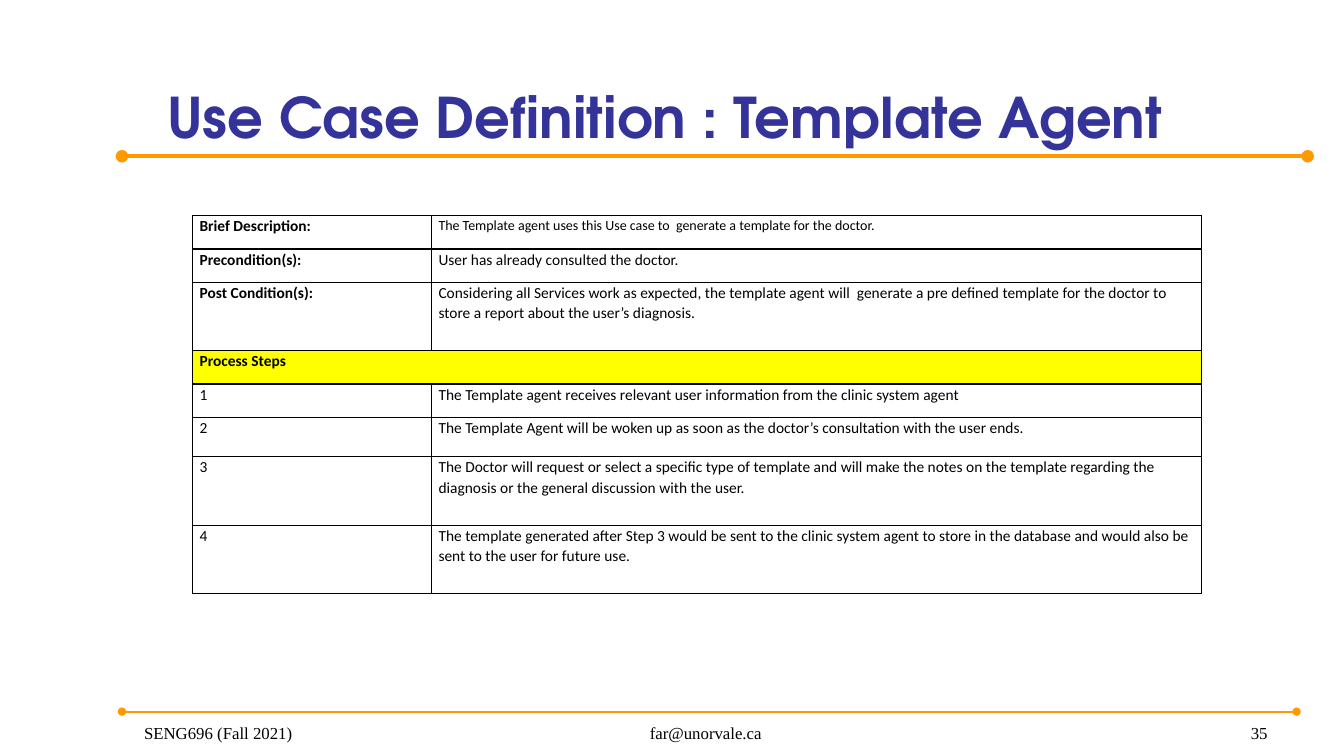
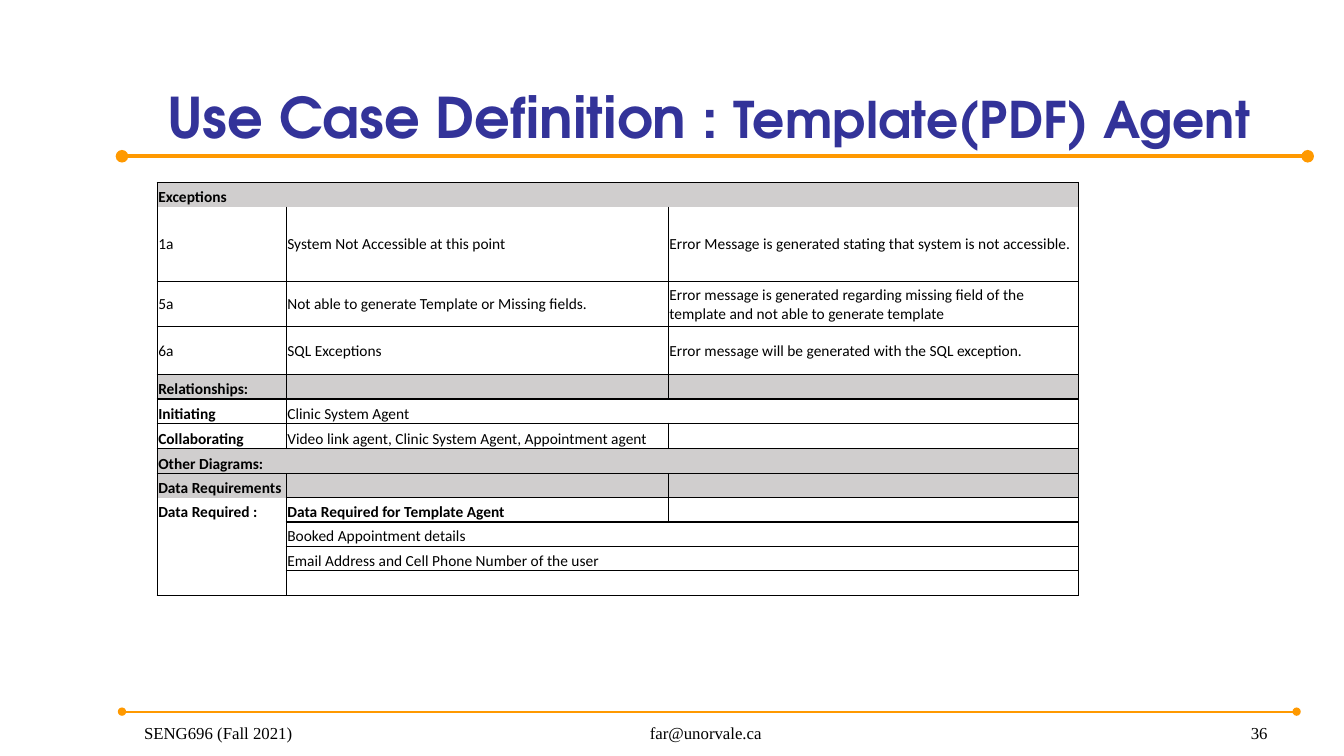
"""Build two use case definition slides with a shared title and footer frame."""
from lxml.etree import SubElement
from pptx import Presentation
from pptx.dml.color import RGBColor
from pptx.enum.shapes import MSO_CONNECTOR
from pptx.enum.text import MSO_ANCHOR, PP_ALIGN
from pptx.oxml.ns import qn
from pptx.util import Inches, Pt

ORANGE, NAVY, BLACK, YELLOW, GREY = "FF9900", "333399", "000000", "FFFF00", "D0CECE"
TITLE_FONT, BODY_FONT, FOOTER_FONT = "TeX Gyre Adventor", "Calibri", "Times New Roman"
RULES = [(1.21, 12.97, 1.55, 3), (1.21, 12.86, 7.06, 1.5)]
FOOTERS = [
    (4.89, 4.22, "far@unorvale.ca", PP_ALIGN.CENTER),
    (9.89, 2.78, "{number}", PP_ALIGN.RIGHT),
    (1.33, 2.78, "SENG696 (Fall 2021)", PP_ALIGN.LEFT),
]

# Cells that start with * are bold; joins are neighbouring cells with no line between.
SLIDES = [
    {
        "number": 35,
        "title": [("Use Case Definition : Template Agent", 40)],
        "at": (1.91, 2.14),
        "cols": [2.37, 7.64],
        "rows": [0.33, 0.33, 0.68, 0.33, 0.33, 0.39, 0.68, 0.68],
        "cells": [
            ("*Brief Description:", "The Template agent uses this Use case to  generate a template for the doctor."),
            ("*Precondition(s):", "User has already consulted the doctor."),
            ("*Post Condition(s):", "Considering all Services work as expected, the template agent will  generate "
             "a pre defined template for the doctor to store a report about the user’s diagnosis."),
            ("*Process Steps", ""),
            ("1", "The Template agent receives relevant user information from the clinic system agent"),
            ("2", "The Template Agent will be woken up as soon as the doctor’s consultation with the user ends."),
            ("3", "The Doctor will request or select a specific type of template and will make the notes "
             "on the template regarding the diagnosis or the general discussion with the user."),
            ("4", "The template generated after Step 3 would be sent to the clinic system agent to store "
             "in the database and would also be sent to the user for future use."),
        ],
        "fills": {3: YELLOW},
        "joins": [((3, 0), (3, 1))],
        "spans": [],
        "sizes": {(0, 1): 10},
        "margins": (0.07, 0),
        "spacing": (1.07, 8),
        "anchor": MSO_ANCHOR.TOP,
        "middle": (),
    },
    {
        "number": 36,
        "title": [("Use Case Definition : ", 40), ("Template(PDF) Agent", 36)],
        "at": (1.56, 1.81),
        "cols": [1.28, 3.79, 4.07],
        "rows": [0.24, 0.74, 0.45, 0.48, 0.24, 0.24, 0.25, 0.25, 0.24, 0.24, 0.24, 0.24, 0.25],
        "cells": [
            ("*Exceptions", "", ""),
            ("1a", "System Not Accessible at this point",
             "Error Message is generated stating that system is not accessible."),
            ("5a", "Not able to generate Template or Missing fields.",
             "Error message is generated regarding missing field of the template and not able to generate template"),
            ("6a", "SQL Exceptions", "Error message will be generated with the SQL exception."),
            ("*Relationships:", "", ""),
            ("*Initiating", "Clinic System Agent", ""),
            ("*Collaborating", "Video link agent, Clinic System Agent, Appointment agent", ""),
            ("*Other Diagrams:", "", ""),
            ("*Data Requirements", "", ""),
            ("*Data Required :", "*Data Required for Template Agent", ""),
            ("", "Booked Appointment details", ""),
            ("", "Email Address and Cell Phone Number of the user", ""),
            ("", "", ""),
        ],
        "fills": {row: GREY for row in (0, 4, 7, 8)},
        "joins": [((0, c), (0, c + 1)) for c in range(2)]
        + [((0, c), (1, c)) for c in range(3)]
        + [((r, 0), (r + 1, 0)) for r in range(8, 12)],
        "spans": [(5, 1), (7, 0), (10, 1), (11, 1), (12, 1)],
        "sizes": {},
        "margins": (0.01, 0.01),
        "spacing": (1, 0),
        "anchor": MSO_ANCHOR.BOTTOM,
        "middle": (1, 2, 3),
    },
]


def rgb(color):
    return RGBColor.from_string(color)


def set_font(font, name, size, color, bold=False):
    font.name, font.size, font.bold = name, Pt(size), bold
    font.color.rgb = rgb(color)


def add_rule(slide, left, right, y, width):
    line = slide.shapes.add_connector(MSO_CONNECTOR.STRAIGHT, Inches(left), Inches(y), Inches(right), Inches(y))
    line.line.color.rgb, line.line.width = rgb(ORANGE), Pt(width)
    ln = line.line._get_or_add_ln()
    for end in ("a:headEnd", "a:tailEnd"):
        SubElement(ln, qn(end), type="oval")
    SubElement(line._element.spPr, qn("a:effectLst"))


def add_text(slide, at, runs, font, color, bold=False, align=PP_ALIGN.LEFT):
    tf = slide.shapes.add_textbox(*map(Inches, at)).text_frame
    tf.word_wrap, tf.vertical_anchor = True, MSO_ANCHOR.BOTTOM
    p = tf.paragraphs[0]
    p.alignment = align
    set_font(p.font, font, runs[0][1], color, bold)
    for text, size in runs:
        r = p.add_run()
        r.text, r.font.size = text, Pt(size)


def set_borders(cell, open_sides):
    tc_pr = cell._tc.get_or_add_tcPr()
    for side in "LRTB":
        ln = SubElement(tc_pr, qn(f"a:ln{side}"), w=str(Pt(1)))
        if side in open_sides:
            SubElement(ln, qn("a:noFill"))
        else:
            SubElement(SubElement(ln, qn("a:solidFill")), qn("a:srgbClr"), val=BLACK)


def find_open_sides(joins):
    sides = {}
    for first, second in joins:
        pair = "RL" if first[0] == second[0] else "BT"
        for place, side in zip((first, second), pair):
            sides[place] = sides.get(place, "") + side
    return sides


def fill_cell(cell, text, row, col, data):
    side, top = data["margins"]
    cell.margin_left = cell.margin_right = Inches(side)
    cell.margin_top, cell.margin_bottom = Inches(top), 0
    cell.vertical_anchor = MSO_ANCHOR.MIDDLE if row in data["middle"] else data["anchor"]
    p = cell.text_frame.paragraphs[0]
    p.text = text.lstrip("*")
    p.line_spacing, p.space_after = data["spacing"][0], Pt(data["spacing"][1])
    set_font(p.font, BODY_FONT, data["sizes"].get((row, col), 11), BLACK, text.startswith("*"))
    if not text:
        SubElement(p._p, qn("a:endParaRPr"), sz="1100")
    if row in data["fills"]:
        cell.fill.solid()
        cell.fill.fore_color.rgb = rgb(data["fills"][row])
    else:
        cell.fill.background()


def add_grid(slide, data):
    cols, rows = data["cols"], data["rows"]
    size = sum(cols), sum(rows)
    table = slide.shapes.add_table(len(rows), len(cols), *map(Inches, data["at"] + size)).table
    table.first_row = table.horz_banding = False
    for column, width in zip(table.columns, cols):
        column.width = Inches(width)
    for line, height in zip(table.rows, rows):
        line.height = Inches(height)
    open_sides = find_open_sides(data["joins"])
    for row, texts in enumerate(data["cells"]):
        for col, text in enumerate(texts):
            cell = table.cell(row, col)
            set_borders(cell, open_sides.get((row, col), ""))
            fill_cell(cell, text, row, col, data)
    for row, col in data["spans"]:
        table.cell(row, col).merge(table.cell(row, len(cols) - 1))


def add_slide(prs, data):
    slide = prs.slides.add_slide(prs.slide_layouts[6])
    for rule in RULES:
        add_rule(slide, *rule)
    add_text(slide, (1.56, 0.28, 11.49, 1.25), data["title"], TITLE_FONT, NAVY, True)
    add_grid(slide, data)
    for left, width, text, align in FOOTERS:
        runs = [(text.format(number=data["number"]), 12)]
        add_text(slide, (left, 6.98, width, 0.44), runs, FOOTER_FONT, BLACK, align=align)


def main():
    prs = Presentation()
    prs.slide_width, prs.slide_height = Inches(13.33), Inches(7.5)
    for data in SLIDES:
        add_slide(prs, data)
    prs.save("out.pptx")


if __name__ == "__main__":
    main()
